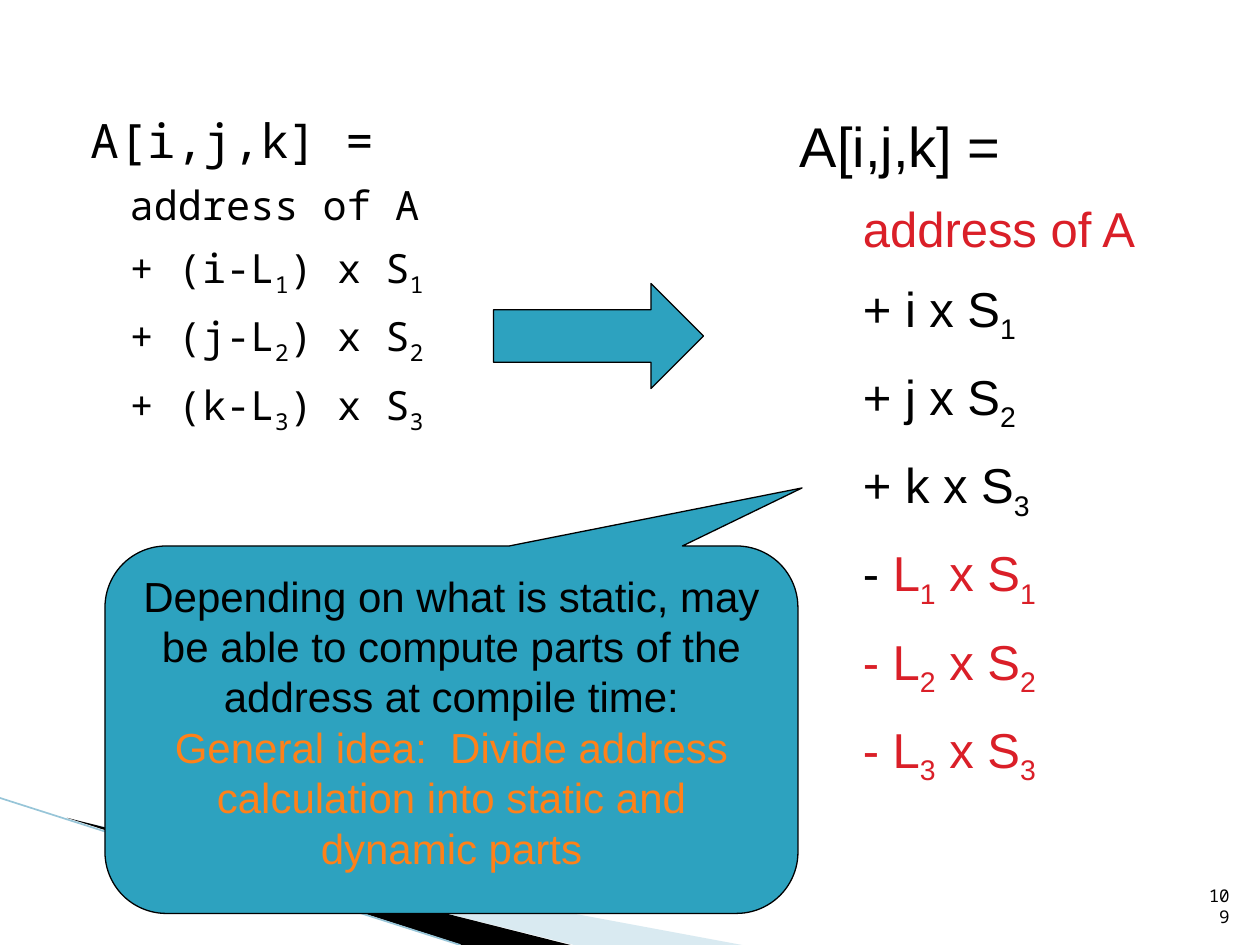
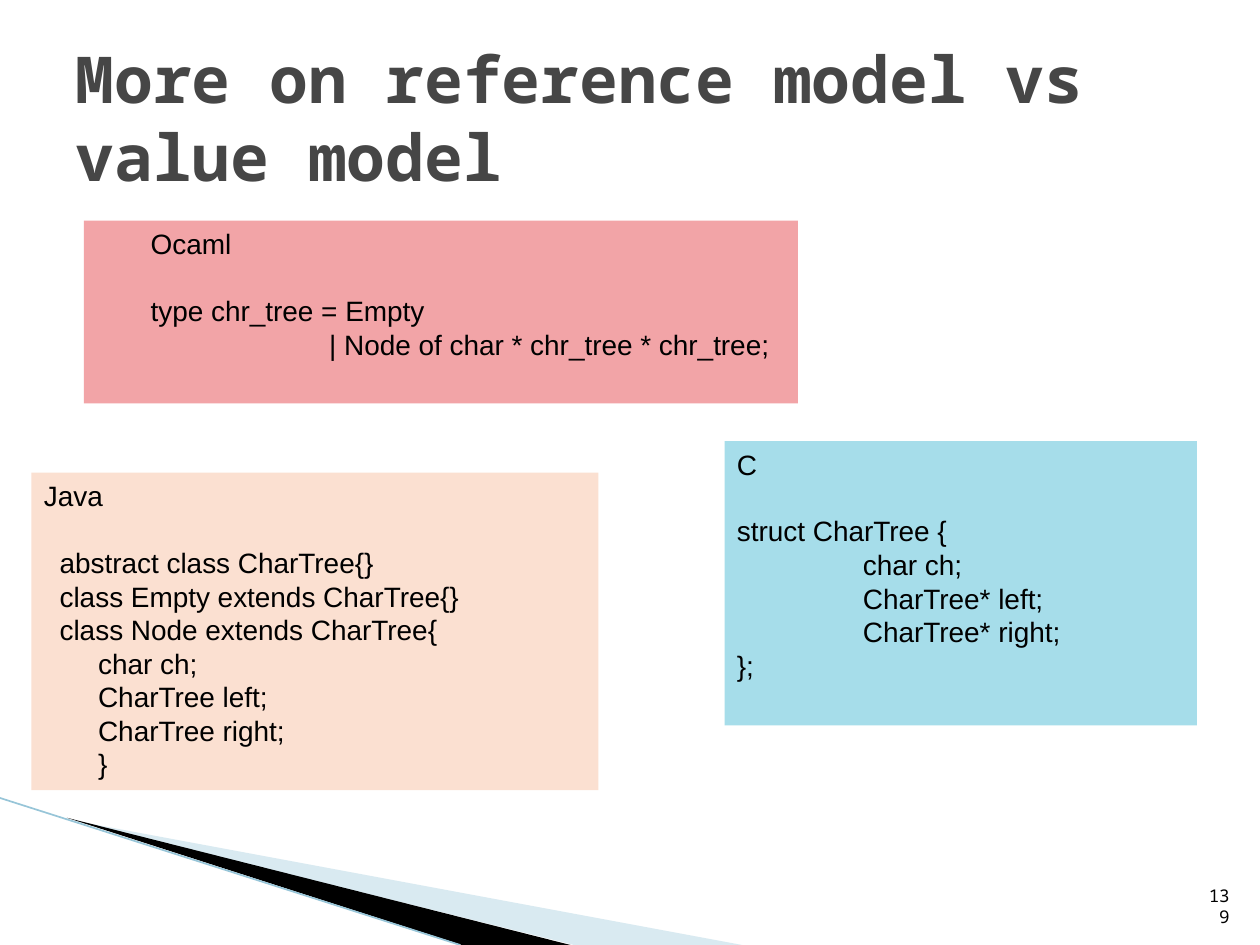
from lxml.etree import SubElement
from pptx import Presentation
from pptx.dml.color import RGBColor
from pptx.enum.shapes import MSO_CONNECTOR, MSO_SHAPE
from pptx.enum.text import MSO_ANCHOR, MSO_AUTO_SIZE, PP_ALIGN
from pptx.oxml.ns import qn
from pptx.util import Pt

BLACK = RGBColor(0x00, 0x00, 0x00)
RED = RGBColor(0xDA, 0x1F, 0x28)
ORANGE = RGBColor(0xFF, 0x81, 0x19)
TEAL = RGBColor(0x2D, 0xA2, 0xBF)
TITLE_GRAY = RGBColor(0x46, 0x46, 0x46)
SWOOSH_BLUE = RGBColor(0xA0, 0xCB, 0xDC)
SWOOSH_EDGE = RGBColor(0x97, 0xC5, 0xD8)
PALE_BLUE = RGBColor(0xA6, 0xDD, 0xEA)
PALE_ORANGE = RGBColor(0xFB, 0xE0, 0xD1)
PALE_RED = RGBColor(0xF2, 0xA4, 0xA7)

SANS = "Arial"
MONO = "Noto Sans Mono"
LAYOUT_TITLE_ONLY = 5
LAYOUT_BLANK = 6

HEADING = "A[i,j,k] ="
FULL_TERMS = ["address of A", "+ (i-L~1) x S~1", "+ (j-L~2) x S~2", "+ (k-L~3) x S~3"]
SPLIT_TERMS = [
    [("address of A", RED)],
    "+ i x S~1",
    "+ j x S~2",
    "+ k x S~3",
    [("- ", BLACK), ("L~1 x S~1", RED)],
    [("- L~2 x S~2", RED)],
    [("- L~3 x S~3", RED)],
]
CALLOUT = [
    ("Depending on what is static, may be able to compute parts of the address at compile time:", {}),
    ("General idea:  Divide address calculation into static and dynamic parts", {"color": ORANGE}),
]

TITLE = "More on reference model vs value model"
GAP = 19
CODE_PANELS = [
    ((414, 252, 270, 162.5), PALE_BLUE, [
        ("C", {}),
        ("struct CharTree {", {"before": GAP}),
        ("char ch;", {"left": 72}),
        ("CharTree* left;", {"left": 72}),
        ("CharTree* right;", {"left": 72}),
        ("};", {}),
    ]),
    ((18, 270, 324, 181.5), PALE_ORANGE, [
        ("Java", {}),
        ("abstract class CharTree{}", {"left": 9, "before": GAP}),
        ("class Empty extends CharTree{}", {"left": 9}),
        ("class Node extends CharTree{", {"left": 9}),
        ("char ch;", {"left": 31}),
        ("CharTree left;", {"left": 31}),
        ("CharTree right;", {"left": 31}),
        ("}", {"left": 31}),
    ]),
    ((48, 126, 408, 104.5), PALE_RED, [
        ("Ocaml", {"left": 31}),
        ("type chr_tree = Empty", {"left": 31, "before": GAP}),
        ("| Node of char * chr_tree * chr_tree;", {"left": 133}),
    ]),
]

SWOOSH_LIGHT = [(39.6, 468.5), (424, 540), (328, 540)]
SWOOSH_DARK = [(38.2, 467.3), (326, 540), (264, 540)]
SWOOSH_LINE = [(0, 456), (263, 540)]


def points(values):
    return [Pt(value) for value in values]


def add_span(para, text, font, size, color, bold, lowered):
    span = para.add_run()
    span.text = text
    span.font.name = font
    span.font.size = Pt(size)
    span.font.bold = bold
    span.font.color.rgb = color
    if lowered:
        span._r.get_or_add_rPr().set("baseline", "-25000")


def format_para(para, content, font=SANS, size=16, color=BLACK, bold=False,
                align=PP_ALIGN.LEFT, left=0, before=0, spacing=1.0):
    para.alignment = align
    para.space_before = Pt(before)
    para.line_spacing = spacing
    properties = para._p.get_or_add_pPr()
    properties.set("marL", str(Pt(left)))
    properties.set("indent", "0")
    pieces = [(content, color)] if isinstance(content, str) else content
    for piece, piece_color in pieces:
        first, *marked = piece.split("~")
        add_span(para, first, font, size, piece_color, bold, False)
        for part in marked:
            add_span(para, part[0], font, size, piece_color, bold, True)
            if part[1:]:
                add_span(para, part[1:], font, size, piece_color, bold, False)


def write_text(box, lines, anchor=MSO_ANCHOR.TOP, **text_format):
    frame = box.text_frame
    frame.word_wrap = True
    frame.auto_size = MSO_AUTO_SIZE.NONE
    frame.vertical_anchor = anchor
    for index, (content, own_format) in enumerate(lines):
        para = frame.add_paragraph() if index else frame.paragraphs[0]
        format_para(para, content, **{**text_format, **own_format})


def style_shape(shape, fill, outline=None):
    shape.shadow.inherit = False
    shape.fill.solid()
    shape.fill.fore_color.rgb = fill
    if outline is None:
        shape.line.fill.background()
    else:
        shape.line.color.rgb = outline
        shape.line.width = Pt(0.75)
    return shape


def add_panel(page, kind, place, fill, outline=None):
    return style_shape(page.shapes.add_shape(kind, *points(place)), fill, outline)


def add_swoosh(page, corners, fill):
    builder = page.shapes.build_freeform(*points(corners[0]))
    builder.add_line_segments([points(corner) for corner in corners[1:]], close=True)
    return style_shape(builder.convert_to_shape(), fill)


def add_page(deck, layout, number):
    page = deck.slides.add_slide(deck.slide_layouts[layout])
    light = add_swoosh(page, SWOOSH_LIGHT, SWOOSH_BLUE)
    tint = light._element.spPr.find(qn("a:solidFill")).find(qn("a:srgbClr"))
    SubElement(tint, qn("a:alpha")).set("val", "40000")
    add_swoosh(page, SWOOSH_DARK, BLACK)
    start, end = SWOOSH_LINE
    edge = page.shapes.add_connector(MSO_CONNECTOR.STRAIGHT, *points(start + end))
    edge.line.color.rgb = SWOOSH_EDGE
    edge.line.width = Pt(0.95)
    SubElement(edge._element.spPr, qn("a:effectLst"))
    number_box = page.shapes.add_textbox(*points((681, 504.7, 28.8, 28.8)))
    write_text(number_box, [(number, {})], anchor=MSO_ANCHOR.BOTTOM,
               font=MONO, size=10, align=PP_ALIGN.RIGHT)
    return page


def add_formula(page, left, terms, heading_format, term_format):
    box = page.shapes.add_textbox(*points((left, 60, 246, 422.5)))
    lines = [(HEADING, heading_format)]
    lines += [(term, {"spacing": 1.15, **term_format}) for term in terms]
    write_text(box, lines)


def build_address_page(deck):
    page = add_page(deck, LAYOUT_BLANK, "109")
    add_formula(page, 36, FULL_TERMS,
                {"font": MONO, "size": 27, "left": 8.6, "before": 4},
                {"font": MONO, "size": 23, "left": 31, "before": 3.2})
    callout = add_panel(page, MSO_SHAPE.ROUNDED_RECTANGULAR_CALLOUT,
                        (60, 312, 396, 210), TEAL, BLACK)
    for index, value in enumerate((0.506, -0.658, 0.167)):
        callout.adjustments[index] = value
    write_text(callout, CALLOUT, size=24, align=PP_ALIGN.CENTER)
    add_panel(page, MSO_SHAPE.RIGHT_ARROW, (282, 162, 120, 60), TEAL, BLACK)
    add_formula(page, 450, SPLIT_TERMS,
                {"size": 32, "before": 6.4},
                {"size": 28, "left": 36, "before": 6.4})


def build_model_page(deck):
    page = add_page(deck, LAYOUT_TITLE_ONLY, "139")
    title = page.shapes.title
    title.left, title.top, title.width, title.height = points((36, 21.6, 648, 90))
    write_text(title, [(TITLE, {})], anchor=MSO_ANCHOR.MIDDLE,
               font=MONO, size=36.9, color=TITLE_GRAY, bold=True)
    for place, fill, lines in CODE_PANELS:
        write_text(add_panel(page, MSO_SHAPE.RECTANGLE, place, fill), lines)


def main():
    deck = Presentation()
    deck.slide_width, deck.slide_height = Pt(720), Pt(540)
    build_address_page(deck)
    build_model_page(deck)
    deck.save("out.pptx")


if __name__ == "__main__":
    main()
